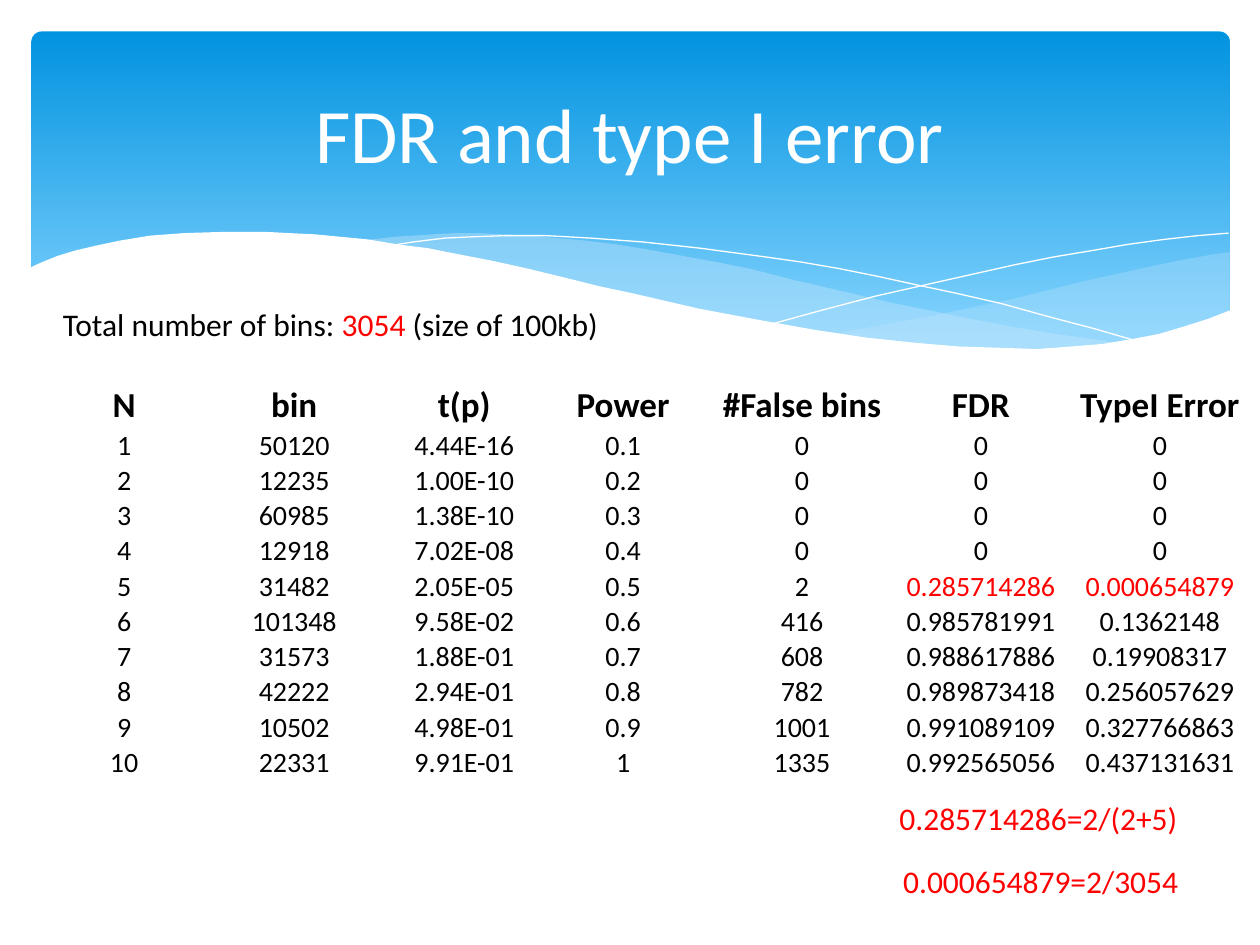
from lxml import etree
from pptx import Presentation
from pptx.dml.color import RGBColor
from pptx.enum.shapes import MSO_SHAPE
from pptx.enum.text import MSO_ANCHOR, MSO_AUTO_SIZE, PP_ALIGN
from pptx.oxml.ns import qn
from pptx.util import Inches, Pt

COLORS = {
    "white": "FFFFFF", "black": "000000", "red": "FF0000",
    "band_top": "0293E0", "band_bottom": "83D3FE", "wave": "C6E7FC",
}

# Wave outlines, in inches
RIGHT_WAVE = [
    (9.76, 2), (9.62, 2.02), (9.35, 2.07), (9.06, 2.13), (8.61, 2.23), (8.05, 2.37),
    (7.53, 2.48), (7.06, 2.57), (6.61, 2.65), (6.91, 2.69), (7.19, 2.72), (7.45, 2.75),
    (7.69, 2.77), (8.03, 2.78), (8.35, 2.77), (8.63, 2.75), (8.89, 2.72), (9.13, 2.67),
    (9.35, 2.62), (9.49, 2.57), (9.63, 2.52), (9.76, 2.47),
]
MIDDLE_WAVE = [
    (8.93, 2.73), (8.66, 2.69), (8.37, 2.65), (8.07, 2.6), (7.75, 2.54), (7.41, 2.47),
    (7.06, 2.4), (6.68, 2.31), (6.29, 2.22), (5.98, 2.14), (5.69, 2.08), (5.41, 2.03),
    (5.14, 1.98), (4.89, 1.94), (4.65, 1.91), (4.42, 1.89), (4.2, 1.87), (3.99, 1.86),
    (3.8, 1.85), (3.61, 1.85), (3.44, 1.86), (3.13, 1.88), (2.86, 1.91), (3.23, 1.96),
    (3.62, 2.03), (4.04, 2.11), (4.49, 2.22), (4.91, 2.32), (5.3, 2.4), (5.66, 2.48),
    (6.01, 2.55), (6.34, 2.61), (6.65, 2.66), (6.95, 2.7), (7.22, 2.74), (7.48, 2.76),
    (7.85, 2.78), (8.28, 2.78), (8.57, 2.77), (8.76, 2.75),
]
FALLING_LINE = [
    (3.09, 1.95), (3.28, 1.92), (3.53, 1.89), (3.74, 1.88), (4.01, 1.87), (4.33, 1.87),
    (4.69, 1.89), (5.1, 1.92), (5.56, 1.97), (6.08, 2.04), (6.36, 2.08), (6.65, 2.13),
    (6.95, 2.19), (7.27, 2.26), (7.6, 2.33), (7.95, 2.41), (8.31, 2.51), (8.69, 2.61),
    (9.07, 2.72),
]
RISING_LINE = [
    (6.13, 2.57), (6.53, 2.46), (6.95, 2.35), (7.48, 2.23), (8.06, 2.1), (8.36, 2.04),
    (8.66, 1.99), (8.95, 1.94), (9.24, 1.9), (9.51, 1.87), (9.75, 1.85),
]
WHITE_WAVE = [
    (9.77, 2.46), (9.59, 2.53), (9.4, 2.59), (9.2, 2.65), (8.99, 2.69), (8.75, 2.73),
    (8.5, 2.75), (8.23, 2.77), (7.93, 2.76), (7.61, 2.75), (7.26, 2.72), (6.88, 2.68),
    (6.48, 2.62), (6.03, 2.54), (5.55, 2.45), (5.29, 2.39), (5.03, 2.33), (4.75, 2.27),
    (4.47, 2.2), (4.18, 2.13), (3.91, 2.07), (3.65, 2.02), (3.4, 1.97), (3.16, 1.94),
    (2.92, 1.9), (2.71, 1.88), (2.5, 1.86), (2.3, 1.85), (2.11, 1.84), (1.77, 1.84),
    (1.46, 1.85), (1.19, 1.87), (0.95, 1.91), (0.76, 1.95), (0.59, 1.99), (0.46, 2.03),
    (0.36, 2.07), (0.29, 2.1), (0.23, 2.13), (0.23, 3.29), (9.77, 3.29),
]

# Table columns: header first
RANKS = ["N", *map(str, range(1, 11))]
BINS = ["bin", "50120", "12235", "60985", "12918", "31482",
        "101348", "31573", "42222", "10502", "22331"]
P_VALUES = ["t(p)", "4.44E-16", "1.00E-10", "1.38E-10", "7.02E-08", "2.05E-05",
            "9.58E-02", "1.88E-01", "2.94E-01", "4.98E-01", "9.91E-01"]
POWER = ["Power", *(f"{step / 10:g}" for step in range(1, 11))]
FALSE_BINS = ["#False bins", "0", "0", "0", "0", "2", "416", "608", "782", "1001", "1335"]
FDR = ["FDR", "0", "0", "0", "0", "0.285714286", "0.985781991",
       "0.988617886", "0.989873418", "0.991089109", "0.992565056"]
TYPE_I_ERROR = ["TypeI Error", "0", "0", "0", "0", "0.000654879", "0.1362148",
                "0.19908317", "0.256057629", "0.327766863", "0.437131631"]
HIGHLIGHTS = {"0.285714286", "0.000654879"}


def rgb(name):
    return RGBColor.from_string(COLORS[name])


class SlideBuilder:
    font = "Calibri"
    column_width = 1.35
    table_top = 3.04
    header_height = 0.35
    row_height = 0.28

    def __init__(self, slide):
        self.slide = slide

    def add_run(self, paragraph, text, size, color, bold=False):
        run = paragraph.add_run()
        run.text = text
        run.font.name = self.font
        run.font.size = Pt(size)
        run.font.bold = bold
        run.font.color.rgb = rgb(color)

    def title(self, text, left, top, width, height):
        shape = self.slide.shapes.title
        shape.left, shape.top = Inches(left), Inches(top)
        shape.width, shape.height = Inches(width), Inches(height)
        shape.text_frame.vertical_anchor = MSO_ANCHOR.MIDDLE
        paragraph = shape.text_frame.paragraphs[0]
        paragraph.alignment = PP_ALIGN.CENTER
        self.add_run(paragraph, text, 44, "white")
        # Bring the title in front of the banner
        shape.element.getparent().append(shape.element)

    def banner(self, left, top, width, height):
        shape = self.slide.shapes.add_shape(
            MSO_SHAPE.ROUNDED_RECTANGLE,
            Inches(left), Inches(top), Inches(width), Inches(height))
        shape.adjustments[0] = 0.03
        shape.shadow.inherit = False
        shape.line.fill.background()
        shape.fill.gradient()
        shape.fill.gradient_angle = 270
        stops = shape.fill.gradient_stops
        for stop, color, position in zip(stops, ("band_top", "band_bottom"), (0, 0.9)):
            stop.color.rgb = rgb(color)
            stop.position = position

    def outline(self, points, closed):
        corners = [(Inches(x), Inches(y)) for x, y in points]
        builder = self.slide.shapes.build_freeform(*corners[0])
        builder.add_line_segments(corners[1:], close=closed)
        shape = builder.convert_to_shape()
        shape.shadow.inherit = False
        return shape

    def wave(self, points, color, opacity=100):
        shape = self.outline(points, closed=True)
        shape.line.fill.background()
        shape.fill.solid()
        shape.fill.fore_color.rgb = rgb(color)
        if opacity < 100:
            color_element = next(shape.element.iter(qn("a:srgbClr")))
            etree.SubElement(color_element, qn("a:alpha"), val=str(opacity * 1000))

    def curve(self, points):
        shape = self.outline(points, closed=False)
        shape.fill.background()
        shape.line.color.rgb = rgb("white")
        shape.line.width = Pt(0)

    def text(self, runs, left, top, width, alignment=PP_ALIGN.LEFT):
        shape = self.slide.shapes.add_textbox(
            Inches(left), Inches(top), Inches(width), Inches(0.4))
        shape.text_frame.word_wrap = True
        shape.text_frame.auto_size = MSO_AUTO_SIZE.SHAPE_TO_FIT_TEXT
        paragraph = shape.text_frame.paragraphs[0]
        paragraph.alignment = alignment
        for text, color in runs:
            self.add_run(paragraph, text, 18, color)

    def table(self, columns, left):
        row_count = len(columns[0])
        height = self.header_height + self.row_height * (row_count - 1)
        table = self.slide.shapes.add_table(
            row_count, len(columns), Inches(left), Inches(self.table_top),
            Inches(self.column_width * len(columns)), Inches(height)).table
        table.first_row = table.horz_banding = False
        for index, row in enumerate(table.rows):
            row.height = Inches(self.row_height if index else self.header_height)
        for column_index, values in enumerate(columns):
            for row_index, value in enumerate(values):
                self.fill_cell(table.cell(row_index, column_index), value, row_index == 0)

    def fill_cell(self, cell, value, is_header):
        cell.fill.background()
        cell.vertical_anchor = MSO_ANCHOR.BOTTOM
        cell.margin_left = cell.margin_right = cell.margin_top = Inches(0.01)
        cell.margin_bottom = 0
        paragraph = cell.text_frame.paragraphs[0]
        paragraph.alignment = PP_ALIGN.CENTER
        color = "red" if value in HIGHLIGHTS else "black"
        self.add_run(paragraph, value, 20 if is_header else 16, color, is_header)


def main():
    presentation = Presentation()
    presentation.slide_width, presentation.slide_height = Inches(10), Inches(7.5)
    builder = SlideBuilder(presentation.slides.add_slide(presentation.slide_layouts[5]))

    # Banner with waves
    builder.banner(0.25, 0.25, 9.51, 2.7)
    builder.wave(RIGHT_WAVE, "wave", 29)
    builder.wave(MIDDLE_WAVE, "wave", 40)
    builder.curve(FALLING_LINE)
    builder.curve(RISING_LINE)
    builder.wave(WHITE_WAVE, "white")

    # Title and bin count
    builder.title("FDR and type I error", 0.5, 0.37, 9, 1.37)
    builder.text([("Total number of bins: ", "black"), ("3054", "red"),
                  (" (size of 100kb)", "black")], 0.4, 2.37, 9.19)

    # Results: one wide table, then single columns at an equal pitch
    builder.table([RANKS, BINS, P_VALUES], 0.31)
    for index, column in enumerate([POWER, FALSE_BINS, FDR, TYPE_I_ERROR]):
        builder.table([column], 4.27 + 1.42 * index)

    # Worked examples
    builder.text([("0.285714286=2/(2+5)", "red")], 7.04, 6.29, 3.04)
    builder.text([("0.000654879=2/3054", "red")], 6.74, 6.79, 3.04, PP_ALIGN.CENTER)

    presentation.save("out.pptx")


if __name__ == "__main__":
    main()
